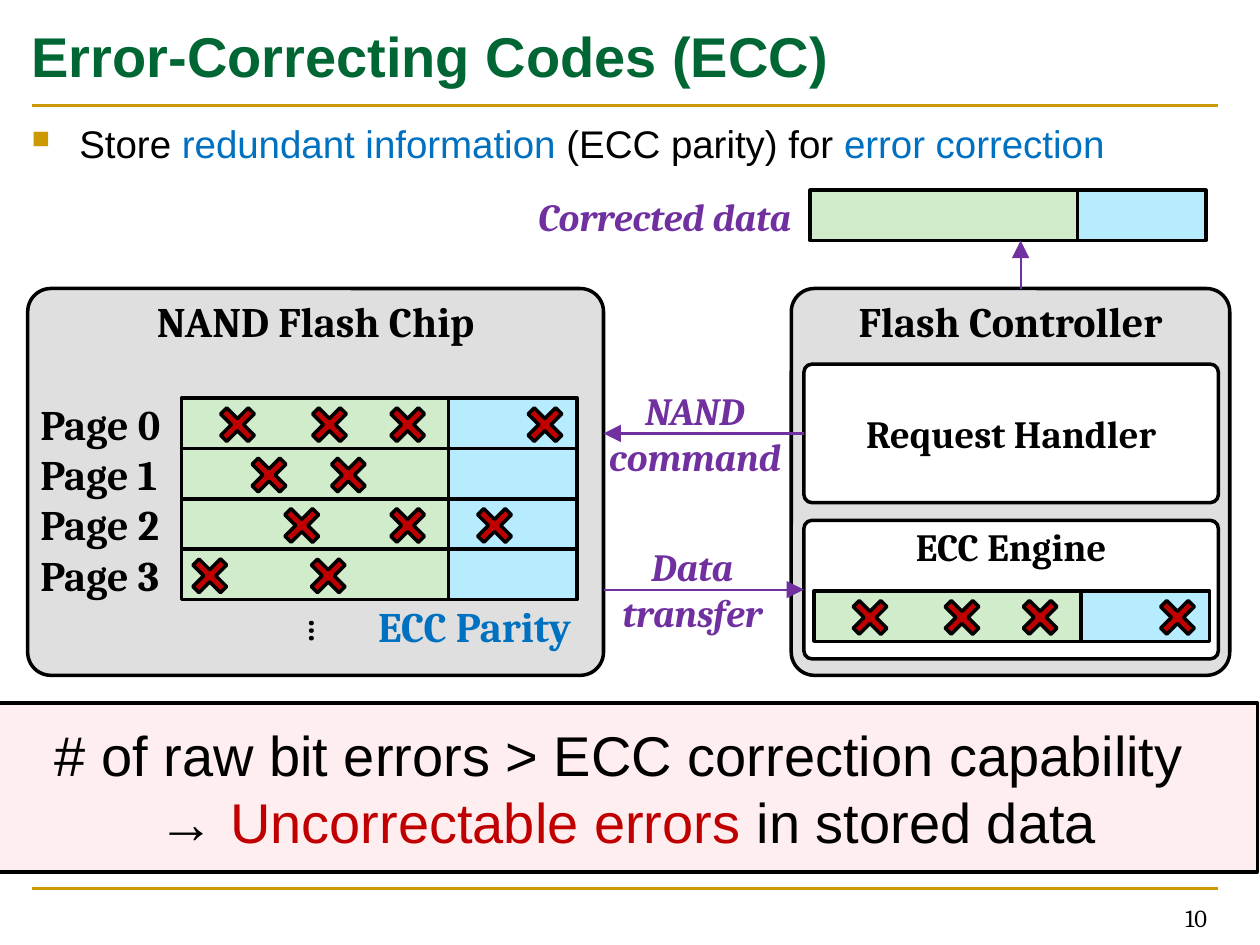
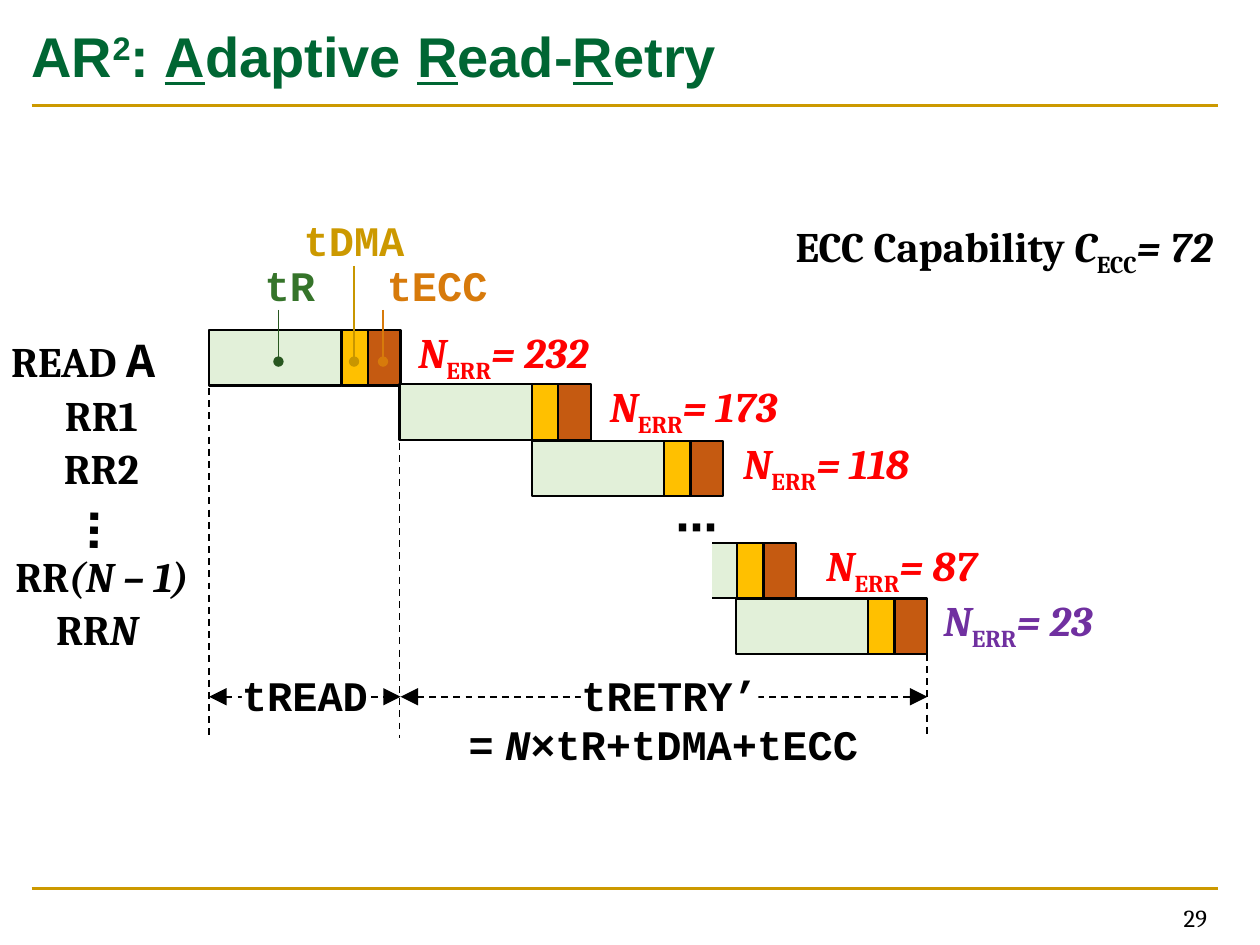
from dataclasses import dataclass

from lxml import etree
from pptx import Presentation
from pptx.dml.color import RGBColor
from pptx.enum.dml import MSO_LINE
from pptx.enum.shapes import MSO_CONNECTOR, MSO_SHAPE
from pptx.enum.text import MSO_ANCHOR, PP_ALIGN
from pptx.oxml.ns import qn
from pptx.util import Inches, Pt

RECT, ROUNDED, CROSS = MSO_SHAPE.RECTANGLE, MSO_SHAPE.ROUNDED_RECTANGLE, MSO_SHAPE.CROSS
LEFT, CENTER, RIGHT = PP_ALIGN.LEFT, PP_ALIGN.CENTER, PP_ALIGN.RIGHT
TOP, MIDDLE = MSO_ANCHOR.TOP, MSO_ANCHOR.MIDDLE


@dataclass(frozen=True)
class Theme:
    sans: str = "Arial"
    serif: str = "Cambria"
    mono: str = "Courier New"
    symbol: str = "Calibri"
    black: str = "000000"
    white: str = "FFFFFF"
    gold: str = "CC9900"
    green: str = "006633"
    blue: str = "0070C0"
    purple: str = "7030A0"
    red: str = "FF0000"
    dark_red: str = "C00000"
    panel: str = "DFDFDF"
    data: str = "D0ECCB"
    parity: str = "B7ECFF"
    banner: str = "FFEEEF"
    read_bar: str = "E2F0D9"
    dma_bar: str = "FFC000"
    ecc_bar: str = "C55A11"
    read_text: str = "35742A"
    read_stem: str = "285720"
    dma_stem: str = "C89600"
    ecc_text: str = "D77A0B"
    title_size: int = 32
    large: int = 28
    label: int = 24
    body: int = 22
    number: int = 14


theme = Theme()
# The slide is a grid of 100 columns by 75 rows; all lengths below are in cells.
COLUMNS, ROWS = 100, 75
CELL = Inches(10) / COLUMNS


def add_box(page, at, paragraphs=(), kind=None, fill=None, line=None, line_width=2,
            font=theme.serif, size=theme.label, color=theme.black, bold=True,
            italic=False, align=CENTER, anchor=MIDDLE, rotation=0):
    """Add a shape, or a text box if kind is None.

    A paragraph is a list of (text, overrides of the font) spans.
    """
    place = [round(length * CELL) for length in at]
    if kind is None:
        box = page.shapes.add_textbox(*place)
    else:
        box = page.shapes.add_shape(kind, *place)
        box.shadow.inherit = False
        box.fill.solid()
        box.fill.fore_color.rgb = RGBColor.from_string(fill)
        if line:
            box.line.color.rgb = RGBColor.from_string(line)
            box.line.width = Pt(line_width)
        else:
            box.line.fill.background()
        if kind == ROUNDED:
            box.adjustments[0] = 0.06
        elif kind == CROSS:
            box.adjustments[0] = 0.39
    box.rotation = rotation
    frame = box.text_frame
    frame.word_wrap = kind is None
    frame.vertical_anchor = anchor
    frame.margin_left = frame.margin_right = frame.margin_top = frame.margin_bottom = 0
    for index, spans in enumerate(paragraphs):
        paragraph = frame.add_paragraph() if index else frame.paragraphs[0]
        paragraph.alignment = align
        paragraph.font.name = font
        paragraph.font.size = Pt(size)
        paragraph.font.bold = bold
        paragraph.font.italic = italic
        paragraph.font.color.rgb = RGBColor.from_string(color)
        for text, changes in spans:
            span = paragraph.add_run()
            span.text = text
            for name, value in changes.items():
                if name == "color":
                    span.font.color.rgb = RGBColor.from_string(value)
                elif name == "baseline":
                    span._r.get_or_add_rPr().set("baseline", str(value * 1000))
                else:
                    setattr(span.font, name, value)
    return box


def add_line(page, start, end, color, width, head=None, tail=None, dashed=False):
    """Add a straight line; head is the ending at the start, tail at the end."""
    ends = [round(length * CELL) for length in (*start, *end)]
    line = page.shapes.add_connector(MSO_CONNECTOR.STRAIGHT, *ends)
    line.line.color.rgb = RGBColor.from_string(color)
    line.line.width = Pt(width)
    if dashed:
        line.line.dash_style = MSO_LINE.DASH
    outline = line.line._get_or_add_ln()
    for tag, ending in (("a:headEnd", head), ("a:tailEnd", tail)):
        if ending:
            arrow = etree.SubElement(outline, qn(tag), type=ending)
            if ending == "triangle":
                arrow.set("w", "lg")
                arrow.set("len", "lg")
    etree.SubElement(line._element.spPr, qn("a:effectLst"))


deck = Presentation()
deck.slide_width, deck.slide_height = round(COLUMNS * CELL), round(ROWS * CELL)

# Shared by both slides: title, rules and page number
titles = [
    ("10", [("Error-Correcting Codes (ECC)", {})]),
    ("29", [("AR", {}), ("2", {"baseline": 30}), (": ", {}),
            ("A", {"underline": True}), ("daptive ", {}),
            ("R", {"underline": True}), ("ead-", {}),
            ("R", {"underline": True}), ("etry", {})]),
]
pages = []
for number, title in titles:
    page = deck.slides.add_slide(deck.slide_layouts[6])
    for rule_row in (8.4, 70.5):
        add_line(page, (2.5, rule_row), (96.7, rule_row), theme.gold, 1.5)
    add_box(page, (2.5, 0.4, 94.2, 7.9), [title], font=theme.sans,
            size=theme.title_size, color=theme.green, align=LEFT)
    add_box(page, (73.5, 71.1, 22.3, 3.4), [[(number, {})]], size=theme.number,
            bold=False, align=RIGHT)
    pages.append(page)
codes_page, retry_page = pages

# Error-correcting codes: bullet
bullet_box = add_box(codes_page, (2.5, 9.5, 94.2, 4), anchor=TOP)
bullet = bullet_box.text_frame.paragraphs[0]
properties = bullet._p.get_or_add_pPr()
properties.set("marL", str(Inches(0.38)))
properties.set("indent", str(-Inches(0.38)))
bullet_color = etree.SubElement(properties, qn("a:buClr"))
etree.SubElement(bullet_color, qn("a:srgbClr")).set("val", theme.gold)
etree.SubElement(properties, qn("a:buSzPct")).set("val", "65000")
etree.SubElement(properties, qn("a:buChar")).set("char", "■")
bullet.alignment = LEFT
bullet.font.name, bullet.font.size = theme.sans, Pt(theme.body)
for text, color in (("Store ", theme.black), ("redundant information ", theme.blue),
                    ("(ECC parity) for ", theme.black), ("error correction", theme.blue)):
    span = bullet.add_run()
    span.text = text
    span.font.color.rgb = RGBColor.from_string(color)

# Chip and controller
panels = [
    ((2.2, 22.9, 45.7, 30.7), "NAND Flash Chip", theme.panel, theme.label, TOP),
    ((62.8, 22.9, 34.8, 30.7), "Flash Controller", theme.panel, theme.label, TOP),
    ((63.8, 28.9, 32.9, 11), "Request Handler", theme.white, theme.body, MIDDLE),
    ((63.8, 41.3, 32.9, 11), "ECC Engine", theme.white, theme.body, TOP),
]
for at, name, fill, size, anchor in panels:
    add_box(codes_page, at, [[(name, {})]], ROUNDED, fill, theme.black,
            size=size, anchor=anchor)

# Codewords: data, parity and the bit errors in them, as columns from the left edge
page_errors = [(2.9, 10.2, 16.4, 27.3), (5.4, 11.7), (8, 16.4, 23.3), (0.7, 10.1)]
page_left, page_top, codeword_height = 14.4, 31.6, 4
codewords = [(64.3, 15.1, ()), (64.6, 46.9, page_errors[0])]
for index, errors in enumerate(page_errors):
    top = page_top + index * codeword_height
    codewords.append((page_left, top, errors))
    add_box(codes_page, (3.2, top, 11, codeword_height), [[(f"Page {index}", {})]],
            align=LEFT, anchor=TOP)
for left, top, errors in codewords:
    add_box(codes_page, (left, top, 21.3, codeword_height), (), RECT, theme.data, theme.black)
    add_box(codes_page, (left + 21.2, top, 10.2, codeword_height), (), RECT,
            theme.parity, theme.black)
    for offset in errors:
        add_box(codes_page, (left + offset, top + 0.55, 3.1, 3.1), (), CROSS,
                theme.dark_red, theme.black, rotation=315)
add_box(codes_page, (20.7, 46.9, 12.7, 6.3), [[("…", {"baseline": -25})]],
        size=theme.title_size, rotation=90)
add_box(codes_page, (30, 47.7, 16.5, 4), [[("ECC Parity", {})]], color=theme.blue,
        align=LEFT, anchor=TOP)

# Traffic between chip and controller
for start, end in (((63.8, 34.4), (47.9, 34.4)), ((47.9, 46.8), (63.8, 46.8)),
                   ((81, 22.9), (81, 19.1))):
    add_line(codes_page, start, end, theme.purple, 1.25, tail="triangle")
for at, lines in (((48.3, 30.7, 13.7, 7.4), ("NAND", "command")),
                  ((48.2, 43.1, 13.5, 7.4), ("Data", "transfer")),
                  ((39.8, 15.3, 25.9, 3.7), ("Corrected data",))):
    add_box(codes_page, at, [[(text, {})] for text in lines], size=theme.body,
            color=theme.purple, italic=True, anchor=TOP)

add_box(codes_page, (-0.2, 55.8, 100, 13.4),
        [[("# of raw bit errors > ECC correction capability ", {})],
         [("→ ", {}), ("Uncorrectable errors ", {"color": theme.dark_red}),
          ("in stored data", {})]],
        RECT, theme.banner, theme.black, font=theme.sans, size=theme.title_size, bold=False)

# Adaptive read-retry: row labels
add_box(retry_page, (60, 17.3, 39.4, 5),
        [[("ECC Capability", {}), (" C", {"italic": True}), ("ECC", {"baseline": -25}),
          ("= 72", {"italic": True})]])
row_labels = [
    (26.4, 13.2, [("READ ", {}), ("A", {"name": theme.mono, "size": Pt(theme.large)})]),
    (30.9, 16.1, [("RR1", {})]),
    (35.1, 16.1, [("RR2", {})]),
    (43.7, 16.2, [("RR", {}), ("(N – 1)", {"italic": True})]),
    (47.9, 15.4, [("RR", {}), ("N", {"italic": True})]),
]
for top, width, spans in row_labels:
    add_box(retry_page, (0, top, width, 4), [spans])
for at, rotation in (((5.5, 38.8, 4.3, 6.7), 91), ((53.3, 39.6, 4, 4.3), 0)):
    add_box(retry_page, at, [[("⋯", {})]], font=theme.symbol, rotation=rotation)

# Read attempts: bar left and top, error count, its left edge and colour
bar_parts = [(10.5, theme.read_bar), (2.1, theme.dma_bar), (2.6, theme.ecc_bar)]
attempts = [
    (16.6, 26.2, 232, 33.2, theme.red),
    (31.7, 30.5, 173, 48.4, theme.red),
    (42.2, 35, 118, 59, theme.red),
    (48, 43.1, 87, 65.6, theme.red),
    (58.4, 47.5, 23, 74.9, theme.purple),
]
for left, top, errors, label_left, color in attempts:
    part_left = left
    for width, fill in bar_parts:
        add_box(retry_page, (part_left, top, width, 4.4), (), RECT, fill, theme.black, 1.25)
        part_left += width
    if errors == 87:  # this bar is cut off where the skipped attempts end
        add_box(retry_page, (47.6, 42.7, 8.9, 5.4), (), RECT, theme.white)
    add_box(retry_page, (label_left, top - 0.5, 18, 5),
            [[("N", {}), ("ERR", {"italic": False, "baseline": -25}), (f"= {errors}", {})]],
            color=color, italic=True, align=LEFT)

# Names of the three parts of a read
for name, center, top, color, stem, stem_top, stem_color in (
        ("tR", 23, 20.6, theme.read_text, 22.1, 24.6, theme.read_stem),
        ("tDMA", 28.1, 17, theme.gold, 28.1, 21.1, theme.dma_stem),
        ("tECC", 34.7, 20.6, theme.ecc_text, 30.4, 24.6, theme.ecc_text)):
    add_box(retry_page, (center - 6, top, 12, 4), [[(name, {})]], font=theme.mono, color=color)
    add_line(retry_page, (stem, stem_top), (stem, 28.7), stem_color, 1, tail="oval")

# Time spans
for column, top, bottom in ((16.6, 30.8, 58.6), (31.7, 31.3, 58.6), (73.6, 51.9, 58.3)):
    add_line(retry_page, (column, top), (column, bottom), theme.black, 1, dashed=True)
for start, end in ((16.6, 31.8), (31.8, 73.6)):
    add_line(retry_page, (start, 55.3), (end, 55.3), theme.black, 1,
             head="triangle", tail="triangle", dashed=True)
for at, spans in (((19.2, 53.1, 10, 4), [("tREAD", {})]),
                  ((46.1, 53.1, 14.1, 4), [("tRETRY’", {})]),
                  ((34.2, 57, 36.9, 4), [("= ", {"name": theme.sans}),
                                         ("N×", {"italic": True}), ("tR+tDMA+tECC", {})])):
    add_box(retry_page, at, [spans], RECT, theme.white, font=theme.mono)

deck.save("out.pptx")
